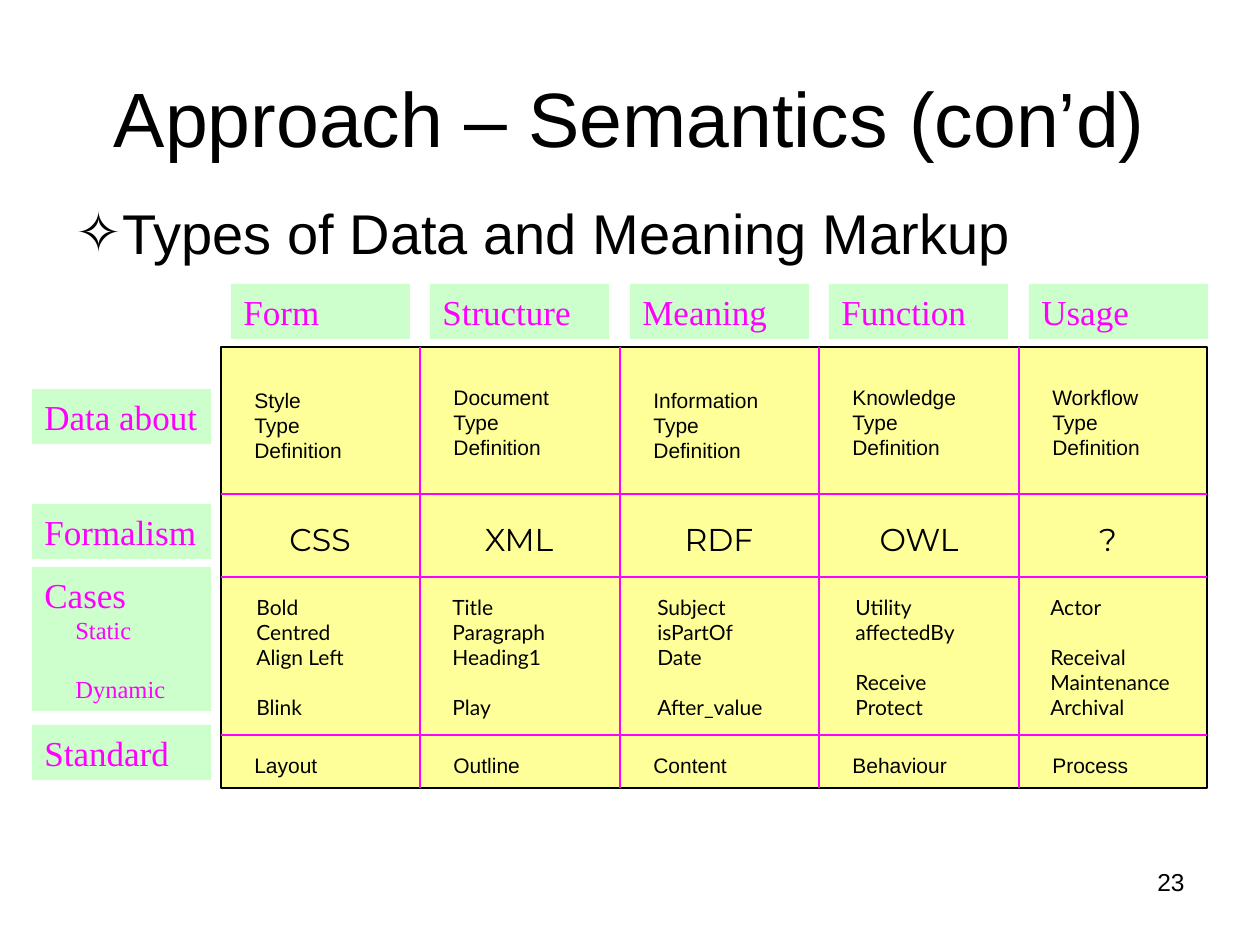
from collections import namedtuple

from lxml.etree import SubElement
from pptx import Presentation
from pptx.dml.color import RGBColor
from pptx.enum.shapes import MSO_CONNECTOR as Connector, MSO_SHAPE as Preset
from pptx.enum.text import MSO_ANCHOR as Anchor, MSO_AUTO_SIZE as AutoSize, PP_ALIGN as Align
from pptx.oxml.ns import qn
from pptx.util import Emu, Pt

PX_PER_INCH = 126
BLACK, MAGENTA, MINT, YELLOW, BLUE = "000000", "FF00FF", "CCFFCC", "FFFF99", "3366FF"

GRID_LEFT, GRID_TOP, GRID_RIGHT, GRID_BOTTOM = 221, 347, 1207, 788
ROW_DIVIDERS = (494, 577, 735)
LABEL_WIDTH, LABEL_HEIGHT = 179, 55
HEADER_LEFT, ROW_LABEL_LEFT = 231, 32
CELL_LEFT = 242

# Each list of cases has a gap before the entry numbered dynamic_from.
Column = namedtuple(
    "Column",
    "header subject subject_top subject_width formalism formalism_left "
    "cases dynamic_from cases_left cases_width standard standard_width",
)
COLUMNS = (
    Column("Form", "Style", 381, 112, "CSS", 273,
           ("Bold", "Centred", "Align Left", "Blink"), 3, 244, 118, "Layout", 88),
    Column("Structure", "Document", 378, 121, "XML", 472,
           ("Title", "Paragraph", "Heading1", "Play"), 3, 440, 129, "Outline", 92),
    Column("Meaning", "Information", 381, 130, "RDF", 672,
           ("Subject", "isPartOf", "Date", "After_value"), 3, 645, 136, "Content", 98),
    Column("Function", "Knowledge", 378, 129, "OWL", 872,
           ("Utility", "affectedBy", "Receive", "Protect"), 2, 843, 130, "Behaviour", 120),
    Column("Usage", "Workflow", 378, 112, "?", 1061,
           ("Actor", "Receival", "Maintenance", "Archival"), 1, 1038, 154, "Process", 101),
)
ROW_LABELS = (("Data about", 389), ("Formalism", 504), ("Standard", 725))


def px(length):
    return Emu(round(length * 914400 / PX_PER_INCH))


def rgb(colour):
    return RGBColor.from_string(colour)


def column_offset(index):
    """Distance from the first column; the pitch is 199.5 px."""
    return index * 399 // 2


def format_runs(paragraph, size, font_name, colour):
    for run in paragraph.runs:
        run.font.size = Pt(size)
        run.font.name = font_name
        run.font.color.rgb = rgb(colour)


def place(shape, left, top, width, height):
    shape.left, shape.top, shape.width, shape.height = map(px, (left, top, width, height))


def add_box(slide, left, top, width, height, fill):
    box = slide.shapes.add_shape(Preset.RECTANGLE, *map(px, (left, top, width, height)))
    box.shadow.inherit = False
    box.fill.solid()
    box.fill.fore_color.rgb = rgb(fill)
    box.line.fill.background()
    return box


def add_text_frame(slide, left, top, width, height, text):
    """Wrapped text whose right inset is given over to the words."""
    frame = slide.shapes.add_textbox(*map(px, (left, top, width, height))).text_frame
    frame.word_wrap = True
    frame.auto_size = AutoSize.NONE
    frame.margin_right = 0
    frame.text = text
    return frame


def add_label(slide, left, top, heading, height=LABEL_HEIGHT, details=()):
    """Mint box with a heading and smaller, indented, spaced details."""
    frame = add_box(slide, left, top, LABEL_WIDTH, height, MINT).text_frame
    frame.word_wrap = True
    frame.vertical_anchor = Anchor.TOP
    frame.text = "\n".join((heading, *details))
    for number, paragraph in enumerate(frame.paragraphs):
        paragraph.alignment = Align.LEFT
        format_runs(paragraph, 14 if number else 20, "Times New Roman", MAGENTA)
        if number:
            paragraph._p.get_or_add_pPr().set("marL", str(px(31)))
        if number > 1:
            paragraph.space_before = Pt(17)


def add_divider(slide, x1, y1, x2, y2):
    divider = slide.shapes.add_connector(Connector.STRAIGHT, *map(px, (x1, y1, x2, y2)))
    divider.line.color.rgb = rgb(MAGENTA)
    divider.line.width = Pt(0.75)
    SubElement(divider._element.spPr, qn("a:effectLst"))


def add_cell_text(slide, left, top, width, height, lines, font_name="Arial"):
    frame = add_text_frame(slide, left, top, width, height, "\n".join(lines))
    for paragraph in frame.paragraphs:
        format_runs(paragraph, 12, font_name, BLACK)
    return frame


def add_formalism(slide, left, formalism):
    """Outlined, half-transparent lettering."""
    frame = add_text_frame(slide, left, 514, 94, 42, formalism)
    frame.margin_left = 0
    paragraph = frame.paragraphs[0]
    paragraph.alignment = Align.CENTER
    format_runs(paragraph, 18, "Montserrat", BLUE)
    properties = paragraph.runs[0].font._element
    SubElement(properties.find(f".//{qn('a:srgbClr')}"), qn("a:alpha"), val="50000")
    outline = SubElement(properties, qn("a:ln"), w=str(Pt(0.75)))
    SubElement(SubElement(outline, qn("a:solidFill")), qn("a:srgbClr"), val=BLACK)
    properties.insert(0, outline)


def add_column(slide, index, column):
    offset = column_offset(index)
    cell_left = CELL_LEFT + offset
    add_label(slide, HEADER_LEFT + offset, 284, column.header)
    add_cell_text(slide, cell_left, column.subject_top, column.subject_width, 88,
                  (column.subject, "Type", "Definition"))
    add_formalism(slide, column.formalism_left, column.formalism)
    cases = add_cell_text(slide, column.cases_left, 588, column.cases_width, 139,
                          column.cases, "Lato")
    cases.paragraphs[column.dynamic_from].space_before = Pt(14.4)
    add_cell_text(slide, cell_left, 746, column.standard_width, 38, (column.standard,))


def add_grid(slide):
    grid = add_box(slide, GRID_LEFT, GRID_TOP, GRID_RIGHT - GRID_LEFT,
                   GRID_BOTTOM - GRID_TOP, YELLOW)
    grid.line.color.rgb = rgb(BLACK)
    grid.line.width = Pt(0.75)
    for y in ROW_DIVIDERS:
        add_divider(slide, GRID_LEFT, y, GRID_RIGHT, y)
    for index in range(1, len(COLUMNS)):
        x = GRID_LEFT + column_offset(index)
        add_divider(slide, x, GRID_BOTTOM, x, GRID_TOP)


def fill_title(title):
    place(title, 63, 38, 1134, 158)
    frame = title.text_frame
    frame.text = "Approach – Semantics (con’d)"
    frame.vertical_anchor = Anchor.MIDDLE
    frame.paragraphs[0].alignment = Align.CENTER
    format_runs(frame.paragraphs[0], 44, "Arial", BLACK)


def fill_body(body):
    place(body, 63, 200, 1134, 73)
    frame = body.text_frame
    frame.text = "Types of Data and Meaning Markup"
    frame.auto_size = AutoSize.NONE
    topic = frame.paragraphs[0]
    topic.line_spacing = 0.9
    topic.space_before = Pt(0)
    properties = topic._p.get_or_add_pPr()
    properties.set("marL", str(px(47)))
    properties.set("indent", str(px(-47)))
    bullet_colour = SubElement(properties, qn("a:buClr"))
    SubElement(bullet_colour, qn("a:srgbClr"), val=BLACK)
    SubElement(properties, qn("a:buChar"), char="✧")
    format_runs(topic, 32, "Arial", BLACK)


def add_page_number(slide, number):
    frame = slide.shapes.add_textbox(*map(px, (903, 861, 294, 66))).text_frame
    frame.word_wrap = True
    frame.text = number
    frame.paragraphs[0].alignment = Align.RIGHT
    format_runs(frame.paragraphs[0], 14, "Arial", BLACK)


def main():
    presentation = Presentation()
    presentation.slide_width, presentation.slide_height = px(1260), px(945)
    slide = presentation.slides.add_slide(presentation.slide_layouts[1])
    fill_title(slide.shapes.title)
    fill_body(slide.placeholders[1])
    add_grid(slide)
    for index, column in enumerate(COLUMNS):
        add_column(slide, index, column)
    for heading, top in ROW_LABELS:
        add_label(slide, ROW_LABEL_LEFT, top, heading)
    add_label(slide, ROW_LABEL_LEFT, 567, "Cases", 144, ("Static", "Dynamic"))
    add_page_number(slide, "23")
    presentation.save("out.pptx")


if __name__ == "__main__":
    main()
